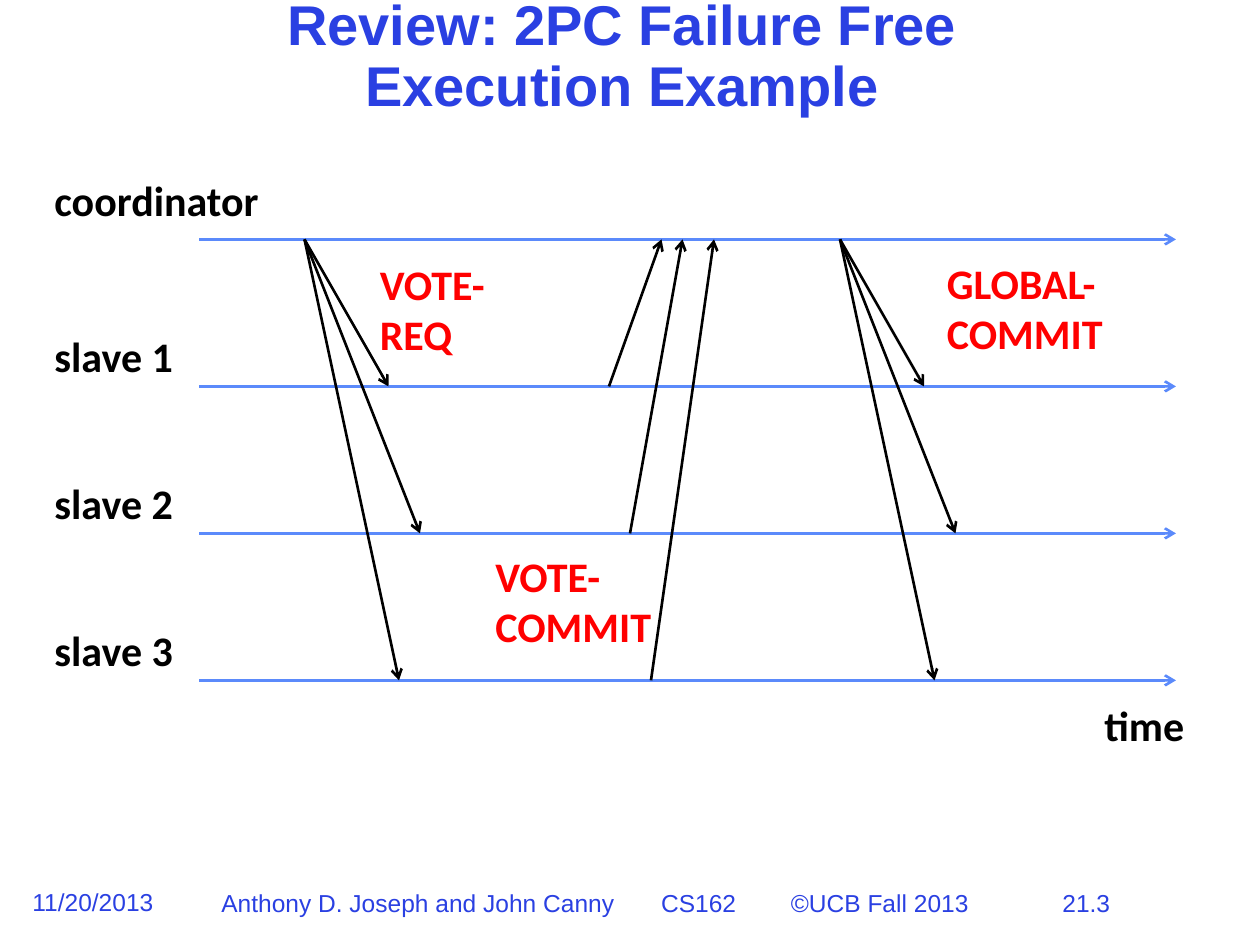
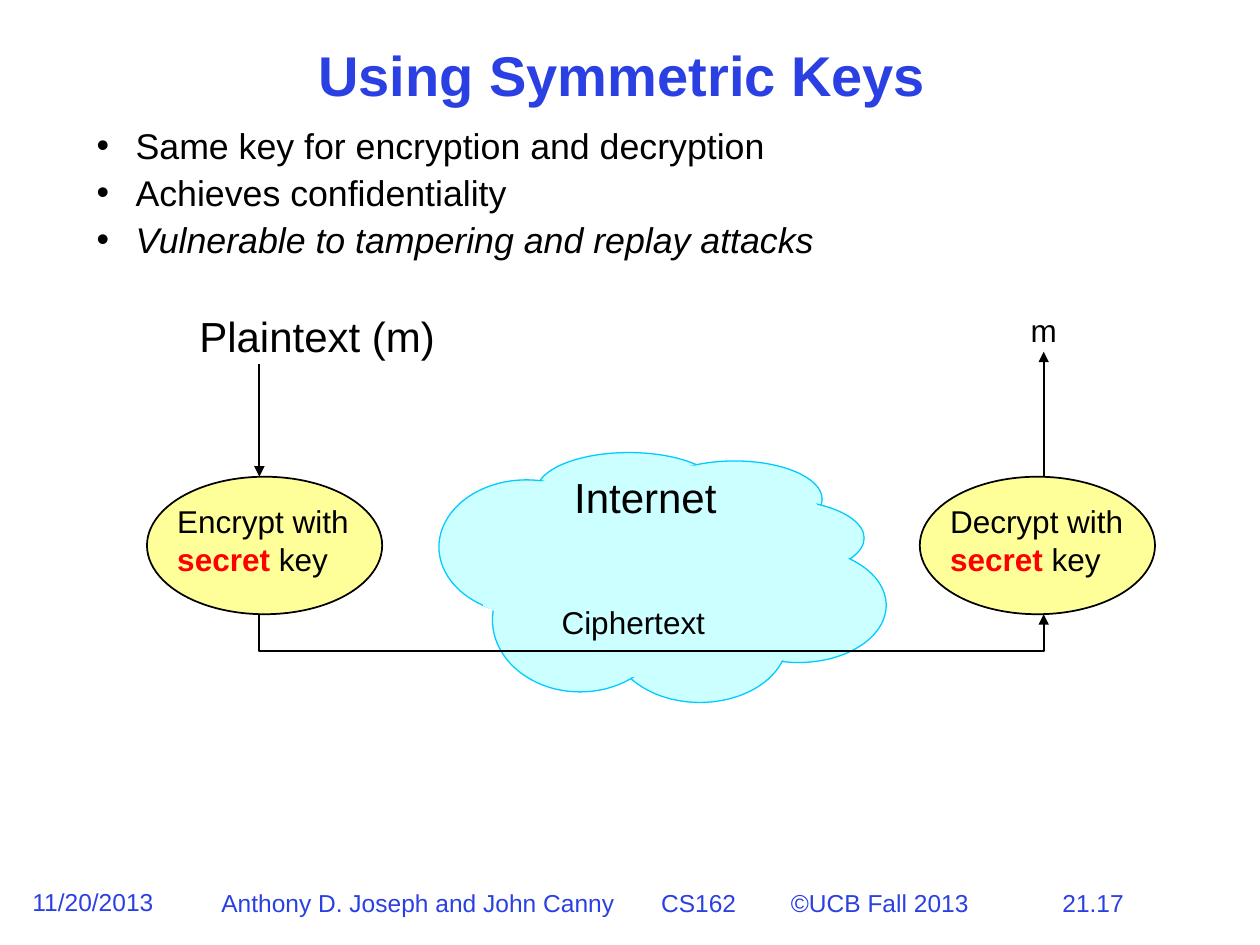
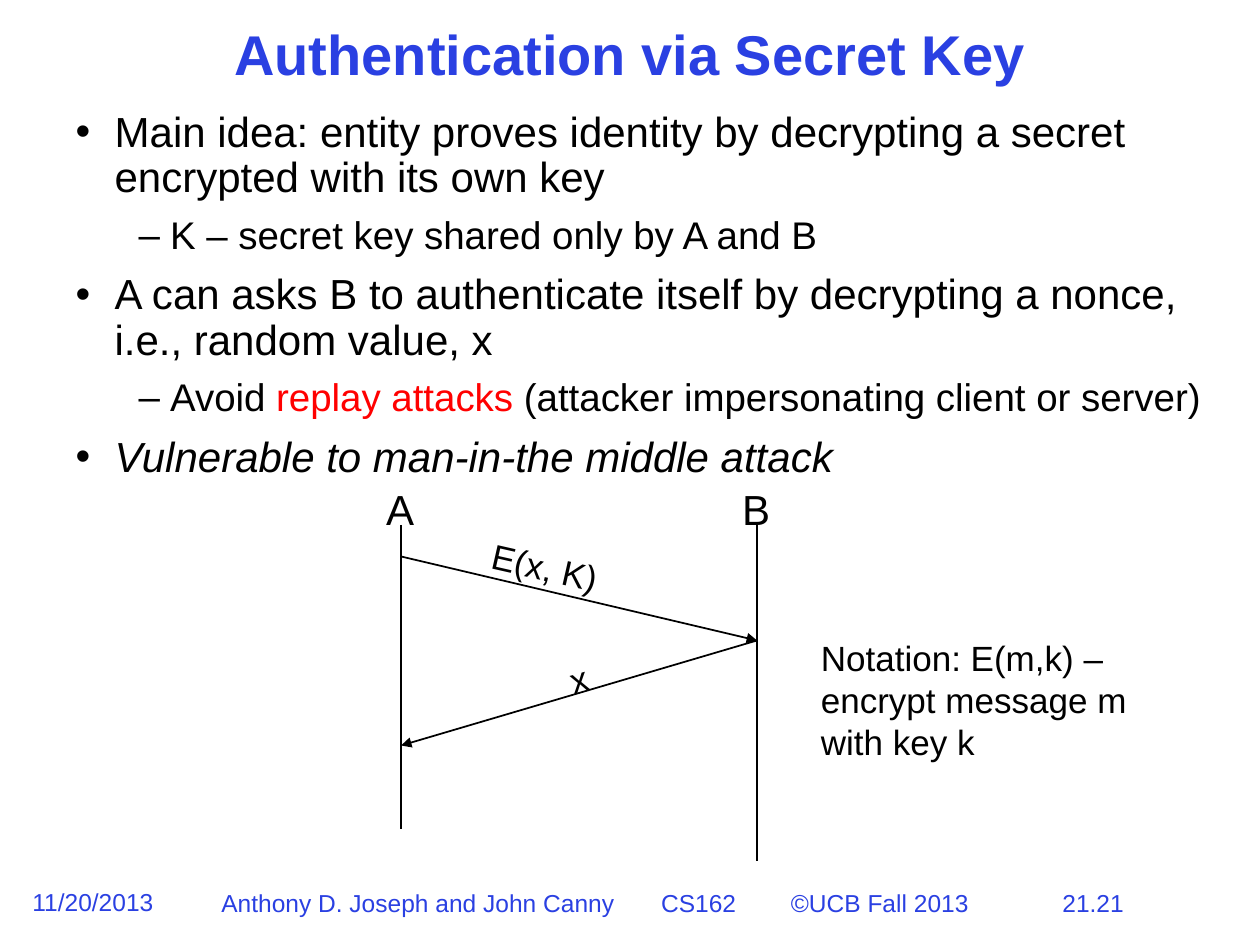
from dataclasses import dataclass

from lxml.etree import SubElement
from pptx import Presentation
from pptx.dml.color import RGBColor
from pptx.enum.shapes import MSO_CONNECTOR as CONNECTOR, MSO_SHAPE as SHAPE
from pptx.enum.text import MSO_ANCHOR as ANCHOR, MSO_AUTO_SIZE as AUTO_SIZE, PP_ALIGN as ALIGN
from pptx.oxml.ns import qn
from pptx.util import Inches, Pt


@dataclass(frozen=True)
class Theme:
    blue: str = "2A40E2"
    lane: str = "5B8AFB"
    black: str = "000000"
    red: str = "FF0000"
    node: str = "FFFF99"
    cloud: str = "CCFFFF"
    cloud_edge: str = "00CCFF"
    font: str = "Arial"
    diagram_font: str = "Calibri"
    title: float = 32
    large: float = 24
    sub: float = 22
    medium: float = 20
    compact: float = 20.4
    small: float = 18
    footer: float = 14


THEME = Theme()
COLUMNS, ROWS = 120, 90  # grid of twelfths of an inch
TITLE_ONLY, TITLE_AND_BODY = 5, 1
DATE = "11/20/2013"
CREDIT = "Anthony D. Joseph and John Canny\tCS162\t©UCB Fall 2013"


def grid(*cells):
    return [Inches(cell / 12) for cell in cells]


def rgb(color):
    return RGBColor.from_string(color)


# Text
def style_run(run, size, color=THEME.black, bold=False, italic=False, font=THEME.font):
    run.font.size, run.font.name = Pt(size), font
    run.font.bold, run.font.italic = bold, italic
    run.font.color.rgb = rgb(color)


def style_frame(frame, size, **look):
    for paragraph in frame.paragraphs:
        for run in paragraph.runs:
            style_run(run, size, **look)


def highlight(paragraph, phrase, size, bold=False):
    """Split the paragraph around the phrase and colour the phrase red."""
    before, after = paragraph.text.split(phrase)
    paragraph.text = ""
    for text in filter(None, (before, phrase, after)):
        run = paragraph.add_run()
        run.text = text
        if text == phrase:
            style_run(run, size, THEME.red, bold)
        else:
            style_run(run, size)


def add_label(slide, text, box, size, align=ALIGN.LEFT, rotation=0, **look):
    label = slide.shapes.add_textbox(*grid(*box))
    label.rotation = rotation
    frame = label.text_frame
    frame.word_wrap = True
    frame.text = text
    for paragraph in frame.paragraphs:
        paragraph.alignment = align
    style_frame(frame, size, **look)
    return frame


def place(placeholder, box):
    placeholder.left, placeholder.top, placeholder.width, placeholder.height = grid(*box)
    placeholder.text_frame.auto_size = AUTO_SIZE.NONE
    return placeholder.text_frame


def add_bullets(slide, box, items, sizes, spacing, gaps):
    """Items are (level, text, italic); sizes and gaps go by level."""
    frame = place(slide.placeholders[1], box)
    frame.text = "\n".join(text for _, text, _ in items)
    indents = ((0.31, -0.31), (0.75, -0.25))
    for index, (paragraph, (level, _, italic)) in enumerate(zip(frame.paragraphs, items)):
        paragraph.level = level
        properties = paragraph._p.get_or_add_pPr()
        for name, inches in zip(("marL", "indent"), indents[level]):
            properties.set(name, str(Inches(inches)))
        paragraph.line_spacing = spacing
        paragraph.space_before = Pt(gaps[level] if index else 0)
        for run in paragraph.runs:
            style_run(run, sizes[level], italic=italic)
    return frame


# Lines and shapes
def style_line(line, color, width, head=None):
    line.color.rgb = rgb(color)
    line.width = Pt(width)
    if head:
        SubElement(line._get_or_add_ln(), qn("a:tailEnd"), type=head)


def add_line(slide, start, end, color=THEME.black, width=1, head=None):
    connector = slide.shapes.add_connector(CONNECTOR.STRAIGHT, *grid(*start, *end))
    style_line(connector.line, color, width, head)
    SubElement(connector._element.spPr, qn("a:effectLst"))


def add_ellipse(slide, box, fill, edge, width):
    ellipse = slide.shapes.add_shape(SHAPE.OVAL, *grid(*box))
    ellipse.shadow.inherit = False
    ellipse.fill.solid()
    ellipse.fill.fore_color.rgb = rgb(fill)
    style_line(ellipse.line, edge, width)


def add_outline(slide, points, close):
    first, *rest = [grid(*point) for point in points]
    builder = slide.shapes.build_freeform(*first)
    builder.add_line_segments(rest, close=close)
    outline = builder.convert_to_shape()
    outline.shadow.inherit = False
    return outline


# Shared slide frame
def add_footer(slide, page):
    look = dict(size=THEME.footer, color=THEME.blue)
    add_label(slide, page, (100, 84, 16, 4), **look)
    add_label(slide, DATE, (1.9, 83.9, 16, 4), **look)
    credit = add_label(slide, CREDIT, (19.9, 84, 76, 4), **look)
    tabs = SubElement(credit.paragraphs[0]._p.get_or_add_pPr(), qn("a:tabLst"))
    for stop in (3.49, 4.52):
        SubElement(tabs, qn("a:tab"), pos=str(Inches(stop)), algn="l")


def new_slide(deck, layout, title, page, title_row=2):
    slide = deck.slides.add_slide(deck.slide_layouts[layout])
    heading = place(slide.shapes.title, (13, title_row, 94, 7))
    heading.vertical_anchor = ANCHOR.MIDDLE
    heading.text = title
    heading.paragraphs[0].alignment = ALIGN.CENTER
    heading.paragraphs[0].line_spacing = 0.9
    style_frame(heading, THEME.title, color=THEME.blue, bold=True)
    add_footer(slide, page)
    return slide


def commit_slide(deck):
    slide = new_slide(deck, TITLE_ONLY, "Review: 2PC Failure Free \vExecution Example ", "21.3")
    look = dict(size=THEME.large, bold=True, font=THEME.diagram_font)

    # Timelines
    lanes = [22.8 + 14 * lane for lane in range(4)]
    coordinator, *slaves = lanes
    for row in lanes:
        add_line(slide, (19, row), (112, row), THEME.lane, 1.5, "arrow")
    add_label(slide, "coordinator", (4, 16, 24, 6), **look)
    for number, row in enumerate(slaves, 1):
        add_label(slide, f"slave {number}", (4, row - 5.9, 19, 6), **look)
    add_label(slide, "time", (104, 66, 11, 6), **look)

    # Broadcasts from the coordinator, then votes back to it
    messages = [((sender, coordinator), (sender + delay, row))
                for sender in (29, 80) for delay, row in zip((8, 11, 9), slaves)]
    messages += [((sent, row), (received, coordinator))
                 for sent, received, row in zip((58, 60, 62), (63, 65, 68), slaves)]
    for start, end in messages:
        add_line(slide, start, end, width=1.5, head="arrow")
    for text, box in (("VOTE-REQ", (35, 24, 16, 10.8)),
                      ("VOTE-COMMIT", (46, 51.8, 19, 10.8)),
                      ("GLOBAL-COMMIT", (89, 23.9, 20, 10.8))):
        add_label(slide, text, box, color=THEME.red, **look)


def add_cloud(slide):
    puffs = ((51.1, 43.1, 17.6, 7.3), (61.6, 43.9, 16.7, 7.3), (65.6, 47.6, 16.7, 7.3),
             (67.7, 52.2, 16.7, 10.9), (58.3, 55, 16.7, 11.9), (46.9, 52.2, 16.7, 13.7),
             (41.8, 45.7, 16.7, 12.8))
    for puff in puffs:
        add_ellipse(slide, puff, THEME.cloud, THEME.cloud_edge, 0.75)
    core = add_outline(slide, ((46.9, 47.6), (54.2, 44.9), (60.5, 43.9), (73, 44.9),
                               (77, 46.7), (79.2, 50.4), (81.2, 51.2), (79.2, 61.3),
                               (65.6, 65.9), (52.2, 62.3), (48, 58.6), (46, 57.7)), True)
    core.fill.solid()
    core.fill.fore_color.rgb = rgb(THEME.cloud)
    core.line.fill.background()


def symmetric_slide(deck):
    slide = new_slide(deck, TITLE_AND_BODY, "Using Symmetric Keys ", "21.17", title_row=4)
    add_bullets(slide, (8, 12, 104, 13),
                ((0, "Same key for encryption and decryption", False),
                 (0, "Achieves confidentiality", False),
                 (0, "Vulnerable to tampering and replay attacks", True)),
                (THEME.compact,), 0.8, (7.2,))
    add_cloud(slide)
    add_label(slide, "Internet", (53.5, 44.3, 20, 6), THEME.large)

    # Encryption and decryption nodes
    node_top, node_bottom = 45.4, 58.5
    for action, left in (("Encrypt", 14), ("Decrypt", 87.6)):
        add_ellipse(slide, (left, node_top, 22.4, node_bottom - node_top),
                    THEME.node, THEME.black, 1)
        caption = add_label(slide, f"{action} with\nsecret key",
                            (left + 1.7, node_top + 1.8, 21, 8.4), THEME.small)
        highlight(caption.paragraphs[1], "secret", THEME.small, bold=True)

    # Path of the message
    sender, receiver, channel = 24.7, 99.4, 62
    add_label(slide, "Plaintext (m)", (17.8, 29, 28, 6), THEME.large)
    add_label(slide, "m", (receiver - 5, 29, 10, 4.8), THEME.small, ALIGN.CENTER)
    add_line(slide, (sender, 34.7), (sender, node_top), head="triangle")
    add_line(slide, (receiver, node_top), (receiver, 33.5), head="triangle")
    route = add_outline(slide, ((sender, node_bottom), (sender, channel),
                                (receiver, channel), (receiver, node_bottom)), False)
    route.fill.background()
    style_line(route.line, THEME.black, 1, "triangle")
    add_label(slide, "Ciphertext", (52.3, 56.8, 20, 4.8), THEME.small)


def authentication_slide(deck):
    slide = new_slide(deck, TITLE_AND_BODY, "Authentication via Secret Key", "21.21")
    body = add_bullets(
        slide, (6, 10, 111, 69),
        ((0, "Main idea: entity proves identity by decrypting a secret "
             "encrypted with its own key", False),
         (1, "K – secret key shared only by A and B", False),
         (0, "A can asks B to authenticate itself by decrypting a nonce, "
             "i.e., random value, x", False),
         (1, "Avoid replay attacks (attacker impersonating client or server)", False),
         (0, "Vulnerable to man-in-the middle attack", True)),
        (THEME.large, THEME.sub), 0.9, (9, 8.2))
    highlight(body.paragraphs[3], "replay attacks", THEME.sub)

    # Lifelines
    a, b = 38.2, 72.1
    for name, column, end in (("A", a, 79), ("B", b, 82)):
        add_line(slide, (column, 50), (column, end))
        add_label(slide, name, (column - 2.6, 45.5, 5, 6), THEME.large)

    # Challenge and reply
    add_line(slide, (a, 53), (b, 61), head="triangle")
    add_line(slide, (b, 61), (a, 71), head="triangle")
    add_label(slide, "E(x, K)", (44.4, 51.4, 15, 5.2), THEME.medium, ALIGN.CENTER, 12.8)
    add_label(slide, "x", (51.1, 62, 8, 5.2), THEME.medium, ALIGN.CENTER, 344.4)
    add_label(slide, "Notation: E(m,k) – encrypt message m with key k",
              (77, 60, 36, 17.3), THEME.medium)


def main():
    deck = Presentation()
    deck.slide_width, deck.slide_height = grid(COLUMNS, ROWS)
    commit_slide(deck)
    symmetric_slide(deck)
    authentication_slide(deck)
    deck.save("out.pptx")


if __name__ == "__main__":
    main()
